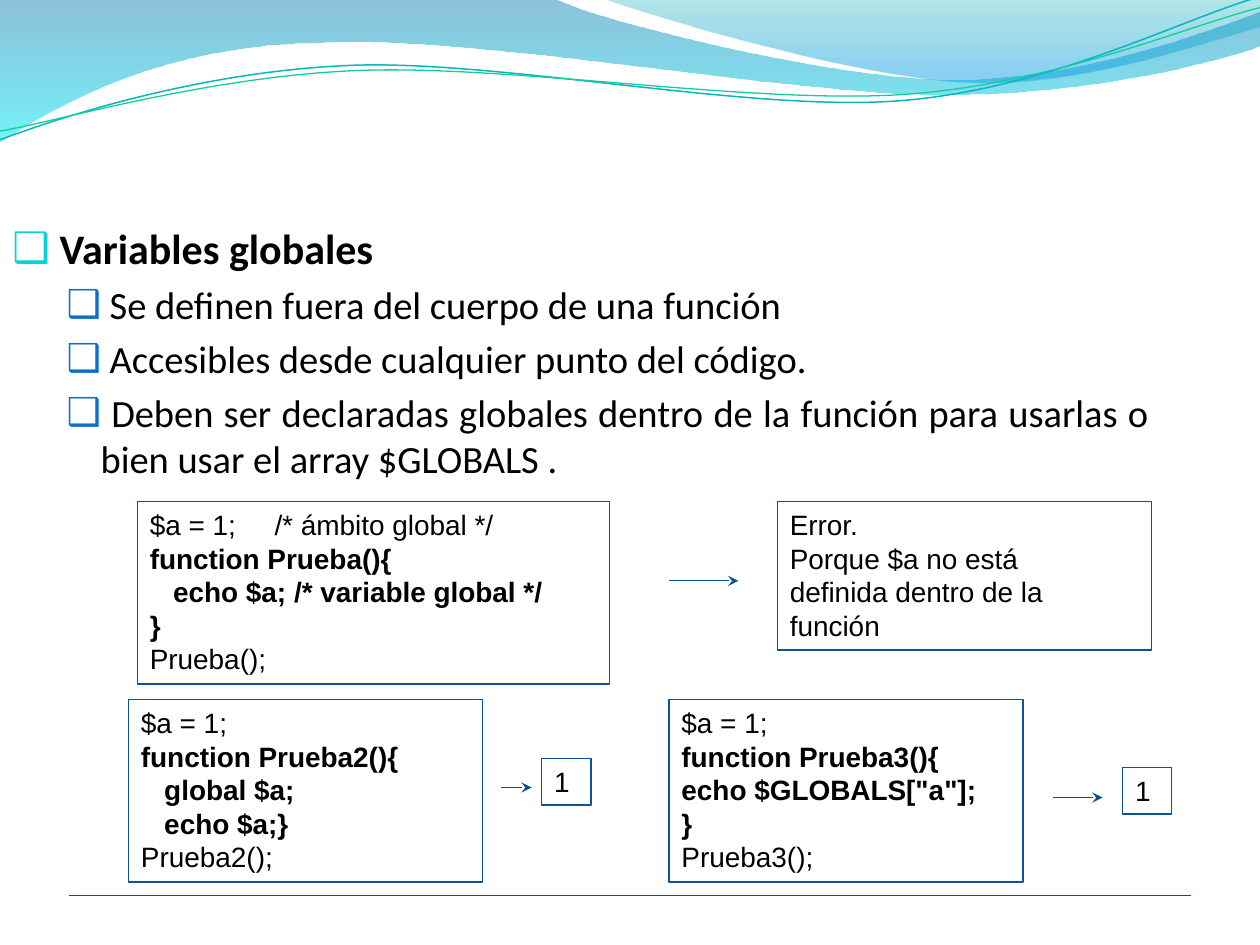
from lxml.etree import SubElement
from pptx import Presentation
from pptx.dml.color import RGBColor
from pptx.enum.shapes import MSO_CONNECTOR, MSO_SHAPE
from pptx.enum.text import MSO_ANCHOR, MSO_AUTO_SIZE, PP_ALIGN
from pptx.oxml.ns import qn
from pptx.util import Inches, Pt

BLACK = RGBColor(0x00, 0x00, 0x00)
BOX_LINE = RGBColor(0x0B, 0x53, 0x94)
ARROW_LINE = RGBColor(0x07, 0x51, 0x92)
HEADING_BULLET = RGBColor(0x0B, 0xD0, 0xD9)
ITEM_BULLET = RGBColor(0x0F, 0x6F, 0xC6)
WAVE_TOP = RGBColor(0x00, 0x79, 0xAD)
WAVE_BOTTOM = RGBColor(0x00, 0xE9, 0xF7)
CREST_TOP = RGBColor(0x00, 0xAB, 0xB4)
CREST_BOTTOM = RGBColor(0x00, 0x99, 0xE4)
TEAL = RGBColor(0x09, 0xB6, 0xBE)
GREEN = RGBColor(0x10, 0xCF, 0x9B)

presentation = Presentation()
presentation.slide_width, presentation.slide_height = Inches(10), Inches(7.5)
slide = presentation.slides.add_slide(presentation.slide_layouts[6])
shapes = slide.shapes

# Grid of 100 columns by 75 rows
COLUMN = presentation.slide_width / 100
ROW = presentation.slide_height / 75


def add_wave(segments, closed):
    """Draw straight (1 point) and cubic (3 points) segments, in grid units."""
    points = [(round(segment[i] * COLUMN), round(segment[i + 1] * ROW))
              for segment in segments for i in range(0, len(segment), 2)]
    builder = shapes.build_freeform(*points[0])
    builder.add_line_segments(points[1:], close=closed)
    wave = builder.convert_to_shape()
    wave.shadow.inherit = False
    # Join each three points of a cubic segment into one curve
    outline = next(wave._element.iter(qn("a:path")))
    vertices = iter(outline.findall(qn("a:lnTo")))
    for segment in segments[1:]:
        first = next(vertices)
        if len(segment) == 6:
            first.tag = qn("a:cubicBezTo")
            for _ in range(2):
                vertex = next(vertices)
                first.append(vertex[0])
                outline.remove(vertex)
    return wave


def add_line(x1, y1, x2, y2, arrow=True):
    line = shapes.add_connector(MSO_CONNECTOR.STRAIGHT, round(x1 * COLUMN), round(y1 * ROW),
                                round(x2 * COLUMN), round(y2 * ROW))
    line.line.color.rgb = ARROW_LINE
    line.line.width = Pt(0.75)
    if arrow:
        SubElement(line.line._get_or_add_ln(), qn("a:tailEnd"), type="stealth")
    SubElement(line._element.spPr, qn("a:effectLst"))


# Filled waves along the top
filled_waves = [
    ([(0, -0.1), (44, -0.1), (47.6, 1.7, 66.4, 6.3, 75.8, 6.3), (85.3, 6.3, 95.8, 2.6, 100, 0.9),
      (100.1, 3.6), (98.3, 4.4, 87, 7.6, 74.6, 7.5), (62.2, 7.5, 38.2, 2.8, 25.7, 3.4),
      (12.9, 3.5, 4.6, 8.3, -0.1, 11.3)],
     [(WAVE_TOP, 0, 45), (WAVE_BOTTOM, 1, 55)]),
    ([(47.9, -0.1), (50.9, 1.1, 68.2, 6.2, 76.9, 6.5), (85.6, 6.9, 96.1, 3.2, 100, 2.1), (100, 0)],
     [(CREST_TOP, 0, 30), (CREST_BOTTOM, 0.8, 45)]),
]
for segments, stops in filled_waves:
    wave = add_wave(segments, closed=True)
    wave.line.fill.background()
    wave.fill.gradient()
    wave.fill.gradient_angle = 270
    for stop, (color, position, opacity) in zip(wave.fill.gradient_stops, stops):
        stop.color.rgb = color
        stop.position = position
        color_element = stop._gs.find(qn("a:srgbClr"))
        SubElement(color_element, qn("a:alpha"), val=str(opacity * 1000))

# Thin wave lines, tilted slightly
wave_lines = [
    ([(-0.2, 8.74), (4.68, 7.17, 15.84, 4.09, 27.75, 4.15), (39.56, 4.21, 59.14, 9.34, 71.17, 9.01),
      (83.2, 8.67, 93.95, 3.57, 100.03, 2.16)], TEAL, 0.85),
    ([(-0.16, 8.05), (4.58, 7.47, 16.43, 4.52, 28.34, 4.58), (40.35, 4.65, 59.57, 8.76, 71.6, 8.52),
      (83.52, 8.28, 94.23, 4.18, 100.18, 2.97)], GREEN, 0.75),
]
for segments, color, width in wave_lines:
    wave = add_wave(segments, closed=False)
    wave.rotation = 357.3
    wave.fill.background()
    wave.line.color.rgb = color
    wave.line.width = Pt(width)

# Bulleted text
body = shapes.add_textbox(0, round(17.2 * ROW), round(92.2 * COLUMN), round(53.9 * ROW))
body.text_frame.word_wrap = True
items = [
    " Variables globales",
    " Se definen fuera del cuerpo de una función",
    " Accesibles desde cualquier punto del código.",
    " Deben ser declaradas globales dentro de la función para usarlas o bien usar el array $GLOBALS .",
]
body.text_frame.text = "\n".join(items)
for index, paragraph in enumerate(body.text_frame.paragraphs):
    heading = index == 0
    paragraph.alignment = PP_ALIGN.JUSTIFY
    paragraph.level = 0 if heading else 1
    paragraph.space_before = Pt(0 if heading else 4.4)
    font = paragraph.runs[0].font
    font.name, font.size, font.bold = "Calibri", Pt(24 if heading else 22), heading
    font.color.rgb = BLACK
    margin, indent = (3, -3) if heading else (7, -2.7)
    properties = paragraph._p.get_or_add_pPr()
    properties.set("marL", str(round(margin * COLUMN)))
    properties.set("indent", str(round(indent * COLUMN)))
    bullet_color = SubElement(properties, qn("a:buClr"))
    SubElement(bullet_color, qn("a:srgbClr"), val=str(HEADING_BULLET if heading else ITEM_BULLET))
    SubElement(properties, qn("a:buFont"), typeface="Arial")
    SubElement(properties, qn("a:buChar"), char="❑")

# Footer rule
add_line(5.5, 71.1, 94.5, 71.1, arrow=False)

# Code and result boxes: left, top, width, lines, bold lines, indented lines
boxes = [
    (10.9, 39.8, 37.5, ["$a = 1;\t/* ámbito global */", "function Prueba(){",
                        "echo $a; /* variable global */", "}", "Prueba();"], (1, 2, 3), (2,)),
    (61.7, 39.8, 29.7, ["Error.", "Porque $a no está", "definida dentro de la", "función"], (), ()),
    (10.2, 55.5, 28.1, ["$a = 1;", "function Prueba2(){", "global $a;", "echo $a;}",
                        "Prueba2();"], (1, 2, 3), (2, 3)),
    (43, 60.2, 3.9, ["1"], (), ()),
    (53.1, 55.5, 28.1, ["$a = 1;", "function Prueba3(){", 'echo $GLOBALS["a"];', "}",
                        "Prueba3();"], (1, 2, 3), ()),
    (89.1, 60.9, 3.9, ["1"], (), ()),
]
for left, top, width, lines, bold_lines, indented_lines in boxes:
    height = 3.7 + 2.7 * (len(lines) - 1)
    box = shapes.add_shape(MSO_SHAPE.RECTANGLE, round(left * COLUMN), round(top * ROW),
                           round(width * COLUMN), round(height * ROW))
    box.shadow.inherit = False
    box.fill.background()
    box.line.color.rgb = BOX_LINE
    box.line.width = Pt(0.75)
    text_frame = box.text_frame
    text_frame.word_wrap = True
    text_frame.auto_size = MSO_AUTO_SIZE.SHAPE_TO_FIT_TEXT
    text_frame.vertical_anchor = MSO_ANCHOR.TOP
    text_frame.text = "\n".join(lines)
    for index, paragraph in enumerate(text_frame.paragraphs):
        paragraph.alignment = PP_ALIGN.LEFT
        properties = paragraph._p.get_or_add_pPr()
        if index in indented_lines:
            properties.set("marL", str(round(1.85 * COLUMN)))
        if "\t" in lines[index]:
            tabs = SubElement(properties, qn("a:tabLst"))
            SubElement(tabs, qn("a:tab"), pos=str(round(9.9 * COLUMN)), algn="l")
        for run in paragraph.runs:
            run.font.name, run.font.size = "Arial", Pt(16)
            run.font.bold = index in bold_lines
            run.font.color.rgb = BLACK

# Arrows from code to result
for start, end, row in [(53.1, 58.6, 46.1), (39.8, 42.2, 62.5), (83.6, 87.5, 63.3)]:
    add_line(start, row, end, row)

presentation.save("out.pptx")
